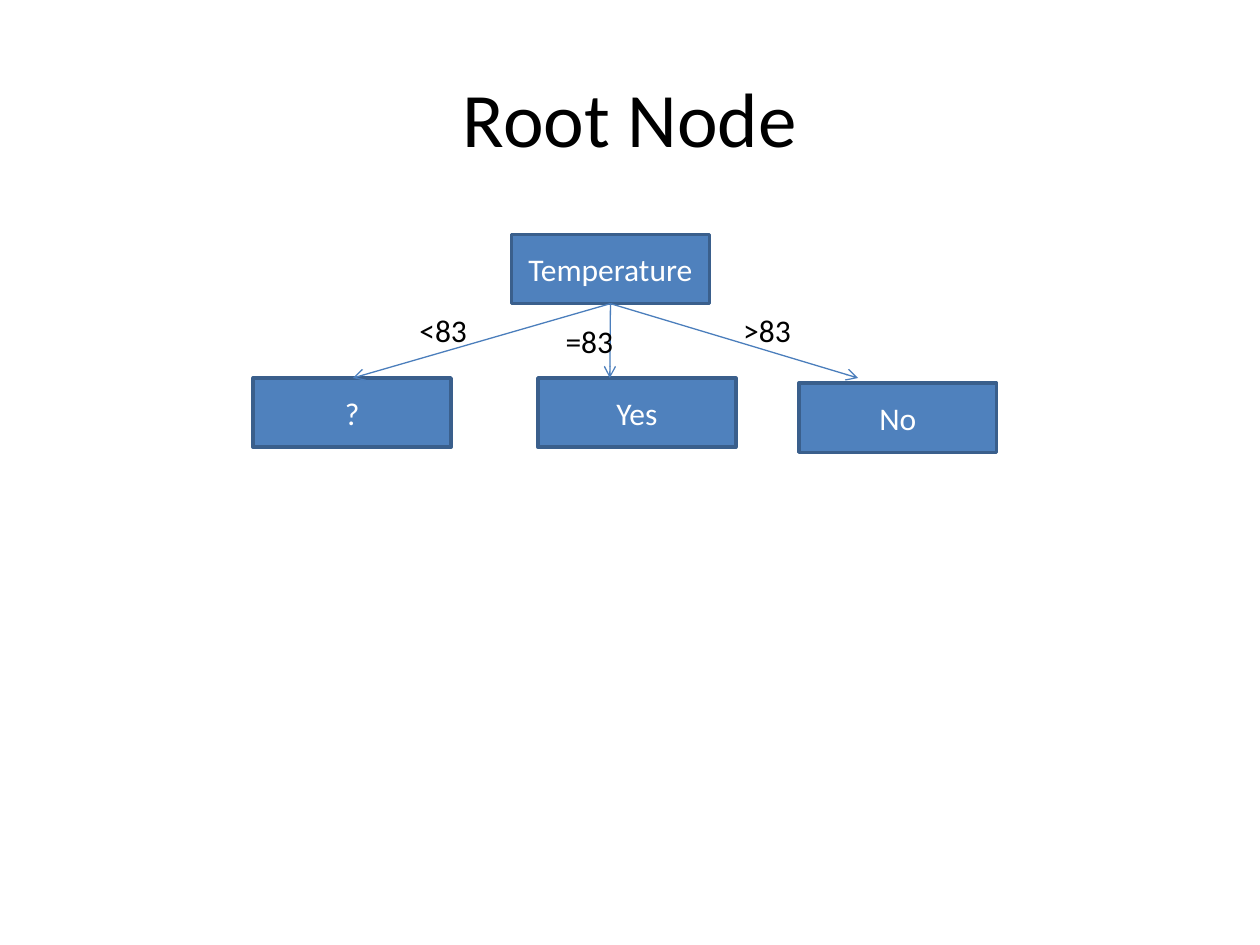
from dataclasses import dataclass

from lxml.etree import SubElement
from pptx import Presentation
from pptx.dml.color import RGBColor
from pptx.enum.shapes import MSO_CONNECTOR, MSO_SHAPE
from pptx.enum.text import MSO_ANCHOR, MSO_AUTO_SIZE, PP_ALIGN
from pptx.oxml.ns import qn
from pptx.slide import Slide
from pptx.util import Inches, Pt


@dataclass(frozen=True)
class Theme:
    font: str = "Calibri"
    title_size: int = 44
    body_size: int = 18
    ink: str = "000000"
    node_text: str = "FFFFFF"
    node_fill: str = "4F81BD"
    node_line: str = "3A5F8C"
    arrow: str = "4B7EBC"
    paper: str = "FFFFFF"


@dataclass(frozen=True)
class Node:
    text: str
    left: float
    top: float


@dataclass(frozen=True)
class Branch:
    leaf: Node
    arrow_x: float
    label: str
    label_left: float
    label_top: float


THEME = Theme()
SLIDE_WIDTH, SLIDE_HEIGHT = 10, 7.5
NODE_WIDTH, NODE_HEIGHT = 1.57, 0.55
LABEL_WIDTH, LABEL_HEIGHT = 0.71, 0.4
LEAF_TOP = SLIDE_HEIGHT * 0.4
LABEL_TOP = 2.42

ROOT = Node("Temperature", 4.06, 1.86)
BRANCHES = [
    Branch(Node("?", 2.01, LEAF_TOP), 2.8, "<83", 3.23, LABEL_TOP),
    Branch(Node("Yes", 4.27, LEAF_TOP), 4.84, "=83", 4.39, LABEL_TOP + 0.09),
    Branch(Node("No", 6.34, LEAF_TOP + 0.04), 6.81, ">83", 5.8, LABEL_TOP),
]


def color(value: str) -> RGBColor:
    return RGBColor.from_string(value)


def write(shape, text: str, size: int, ink: str, align: PP_ALIGN) -> None:
    shape.text_frame.text = text
    paragraph = shape.text_frame.paragraphs[0]
    paragraph.alignment = align
    paragraph.font.name = THEME.font
    paragraph.font.size = Pt(size)
    paragraph.font.color.rgb = color(ink)


def set_title(slide: Slide, text: str) -> None:
    title = slide.shapes.title
    title.left, title.top = Inches(SLIDE_WIDTH * 0.05), Inches(SLIDE_HEIGHT * 0.04)
    title.width, title.height = Inches(SLIDE_WIDTH * 0.9), Inches(SLIDE_HEIGHT / 6)
    title.text_frame.vertical_anchor = MSO_ANCHOR.MIDDLE
    write(title, text, THEME.title_size, THEME.ink, PP_ALIGN.CENTER)


def add_node(slide: Slide, node: Node) -> None:
    shape = slide.shapes.add_shape(
        MSO_SHAPE.RECTANGLE, Inches(node.left), Inches(node.top),
        Inches(NODE_WIDTH), Inches(NODE_HEIGHT))
    shape.shadow.inherit = False
    shape.fill.solid()
    shape.fill.fore_color.rgb = color(THEME.node_fill)
    shape.line.color.rgb = color(THEME.node_line)
    shape.line.width = Pt(2)
    shape.text_frame.vertical_anchor = MSO_ANCHOR.MIDDLE
    write(shape, node.text, THEME.body_size, THEME.node_text, PP_ALIGN.CENTER)


def add_arrow(slide: Slide, end_x: float) -> None:
    connector = slide.shapes.add_connector(
        MSO_CONNECTOR.STRAIGHT,
        Inches(ROOT.left + NODE_WIDTH / 2), Inches(ROOT.top + NODE_HEIGHT),
        Inches(end_x), Inches(LEAF_TOP))
    connector.line.color.rgb = color(THEME.arrow)
    connector.line.width = Pt(0.75)
    SubElement(connector.line._get_or_add_ln(), qn("a:tailEnd"), type="arrow")
    SubElement(connector._element.spPr, qn("a:effectLst"))


def add_label(slide: Slide, branch: Branch) -> None:
    box = slide.shapes.add_textbox(
        Inches(branch.label_left), Inches(branch.label_top),
        Inches(LABEL_WIDTH), Inches(LABEL_HEIGHT))
    box.text_frame.word_wrap = True
    box.text_frame.auto_size = MSO_AUTO_SIZE.SHAPE_TO_FIT_TEXT
    write(box, branch.label, THEME.body_size, THEME.ink, PP_ALIGN.LEFT)


def main() -> None:
    presentation = Presentation()
    presentation.slide_width = Inches(SLIDE_WIDTH)
    presentation.slide_height = Inches(SLIDE_HEIGHT)
    slide = presentation.slides.add_slide(presentation.slide_layouts[5])
    slide.background.fill.solid()
    slide.background.fill.fore_color.rgb = color(THEME.paper)
    set_title(slide, "Root Node")

    # Tree: nodes first, then arrows and their conditions
    for node in [ROOT, *(branch.leaf for branch in BRANCHES)]:
        add_node(slide, node)
    for branch in BRANCHES:
        add_arrow(slide, branch.arrow_x)
    for branch in BRANCHES:
        add_label(slide, branch)

    presentation.save("out.pptx")


if __name__ == "__main__":
    main()
